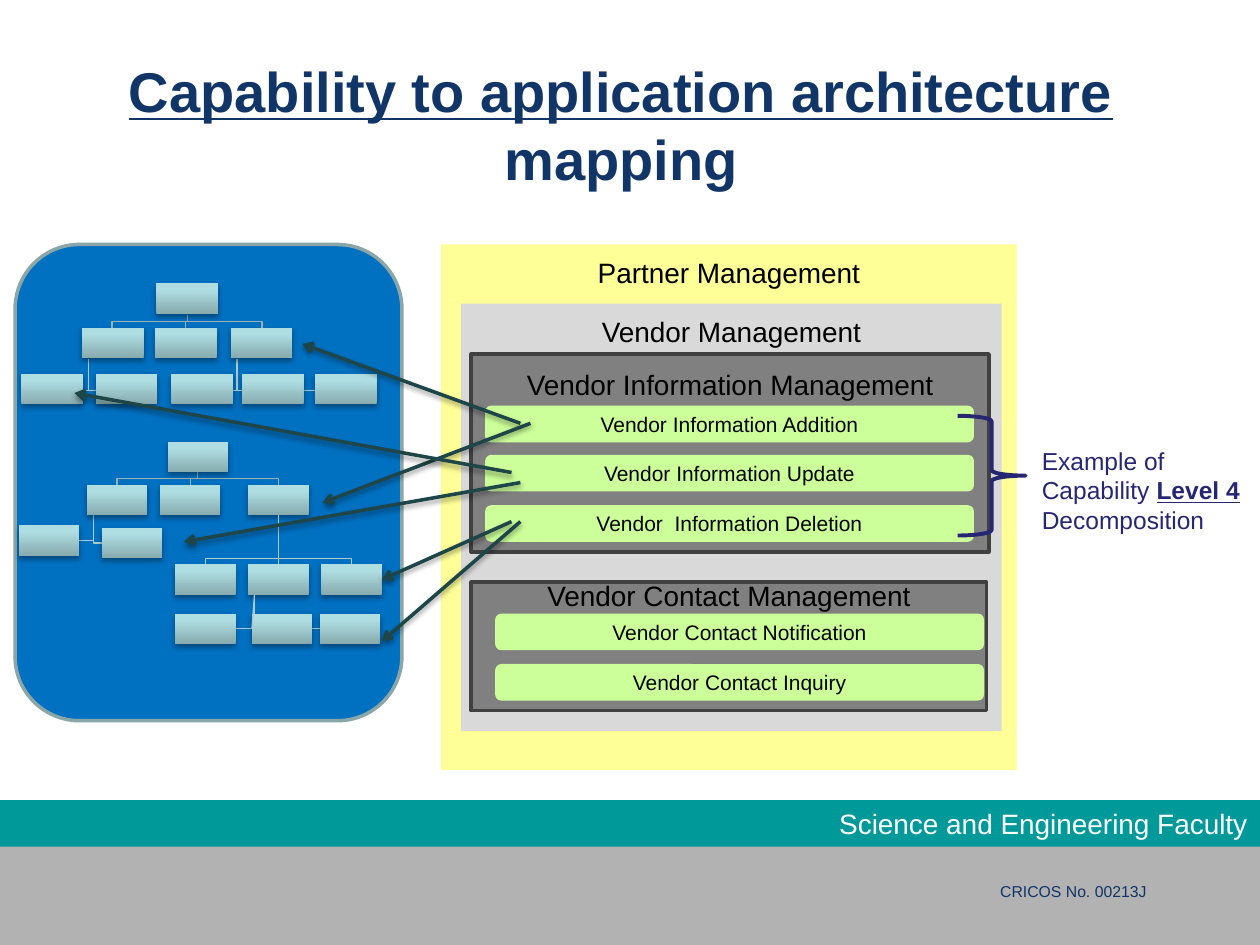
from typing import NamedTuple

from lxml.etree import SubElement
from pptx import Presentation
from pptx.dml.color import RGBColor
from pptx.enum.shapes import MSO_CONNECTOR, MSO_SHAPE
from pptx.enum.text import MSO_ANCHOR, PP_ALIGN
from pptx.oxml.ns import qn
from pptx.util import Pt

PX = 9144  # EMU in one px, 100 px to the inch

WHITE = RGBColor(0xFF, 0xFF, 0xFF)
BLACK = RGBColor(0, 0, 0)
NAVY = RGBColor(0x10, 0x35, 0x66)
INDIGO = RGBColor(0x26, 0x26, 0x73)
TEAL = RGBColor(0x00, 0x99, 0x99)
SILVER = RGBColor(0xB2, 0xB2, 0xB2)
YELLOW = RGBColor(0xFE, 0xFF, 0x97)
PALE = RGBColor(0xD9, 0xD9, 0xD9)
GREY = RGBColor(0x80, 0x80, 0x80)
DARK = RGBColor(0x40, 0x40, 0x40)
LIME = RGBColor(0xCC, 0xFF, 0x99)
BLUE = RGBColor(0x00, 0x70, 0xC0)
RIM = RGBColor(0x8A, 0xA6, 0xA8)
LOW = RGBColor(0x87, 0xAB, 0xAE)
HIGH = RGBColor(0xAF, 0xDE, 0xE2)
LINK = RGBColor(0xAA, 0xCB, 0xCE)
STEM = RGBColor(0x96, 0xB3, 0xB6)
ARROW = RGBColor(0x1E, 0x46, 0x49)

RECT, ROUND = MSO_SHAPE.RECTANGLE, MSO_SHAPE.ROUNDED_RECTANGLE
LEFT, MID, RIGHT = PP_ALIGN.LEFT, PP_ALIGN.CENTER, PP_ALIGN.RIGHT
TOP, CENTER = MSO_ANCHOR.TOP, MSO_ANCHOR.MIDDLE


class Area(NamedTuple):
    x: int
    y: int
    w: int
    h: int


class Run(NamedTuple):
    text: str
    form: dict = {}


class Panel(NamedTuple):
    text: str
    area: Area
    fill: RGBColor
    edge: RGBColor | None
    inset: int


class Group(NamedTuple):
    x: int
    pills: dict[int, str]


class Tree(NamedTuple):
    width: int
    rows: dict[int, list[int]]  # top of a row: left sides of its boxes
    stems: list[list[tuple[int, int]]]
    links: list[list[tuple[int, int]]]


PANELS = [
    Panel("Partner Management", Area(350, 194, 457, 417), YELLOW, None, 9),
    Panel("Vendor Management", Area(366, 241, 429, 339), PALE, None, 9),
    Panel("Vendor Information Management", Area(374, 281, 411, 157), GREY, DARK, 11),
    Panel("Vendor Contact Management", Area(374, 462, 409, 102), GREY, DARK, -3),
]
GROUPS = [
    Group(385, {322: "Vendor Information Addition",
                361: "Vendor Information Update",
                401: "Vendor  Information Deletion"}),
    Group(393, {487: "Vendor Contact Notification",
                527: "Vendor Contact Inquiry"}),
]
UPPER = Tree(
    49,
    {225: [124], 260: [65, 123, 183], 297: [17, 76, 136, 192, 250]},
    [[(149, 250), (149, 255), (x, 255), (x, 260)] for x in (89, 147, 208)],
    [[(x, 285), (x, 310), (end, 310)]
     for x, end in ((188, 250), (188, 192), (188, 185), (70, 66), (70, 76))],
)
LOWER = Tree(
    48,
    {351: [133], 385: [69, 127, 197], 417: [15], 419: [81],
     448: [139, 197, 255], 487: [139, 200, 254]},
    [[(157, 375), (157, 380), (x, 380), (x, 385)] for x in (93, 151, 221)],
    [[(221, 409), (221, 443), (x, 443), (x, 448)] for x in (163, 279)]
    + [[(202, 471), (202, 499), (x, 499)] for x in (187, 254)]
    + [[(74, 409), (74, y), (x, y)] for x, y in ((62, 429), (81, 431))],
)
ARROWS = [
    (413, 336, 240, 273), (421, 336, 256, 399), (406, 375, 59, 312),
    (413, 383, 146, 430), (413, 414, 303, 509),
]


def emu(*vals: int) -> list[int]:
    return [v * PX for v in vals]


def write(shape, runs: list[Run], form: dict, align=LEFT, anchor=TOP,
          wrap=True, inset=5) -> None:
    frame = shape.text_frame
    layout = {"word_wrap": wrap, "vertical_anchor": anchor,
              "margin_top": inset * PX, "margin_bottom": 5 * PX}
    for key, val in layout.items():
        setattr(frame, key, val)
    para = frame.paragraphs[0]
    para.alignment = align
    for item in runs:
        run = para.add_run()
        run.text = item.text
        look = {"name": "Arial", **form, **item.form}
        run.font.color.rgb = look.pop("ink")
        for key, val in look.items():
            setattr(run.font, key, val)


def label(slide, area: Area, runs: list[Run], form: dict, **rest) -> None:
    write(slide.shapes.add_textbox(*emu(*area)), runs, form, **rest)


def draw(slide, kind, area: Area, fill=None, edge=None, width=2.0):
    shape = slide.shapes.add_shape(kind, *emu(*area))
    shape.shadow.inherit = False
    paint(shape, fill, edge, width)
    return shape


def paint(shape, fill, edge, width: float) -> None:
    if fill is None:
        shape.fill.background()
    else:
        shape.fill.solid()
        shape.fill.fore_color.rgb = fill
    if edge is None:
        shape.line.fill.background()
    else:
        shape.line.color.rgb = edge
        shape.line.width = Pt(width)


def shade(effects, alpha: int, dist: float) -> None:
    node = SubElement(effects, qn("a:outerShdw"), blurRad=str(Pt(3.1)),
                      dist=str(Pt(dist)), dir="5400000", rotWithShape="0")
    ink = SubElement(node, qn("a:srgbClr"), val="000000")
    SubElement(ink, qn("a:alpha"), val=str(alpha * 1000))


def join(slide, ends: tuple, ink: RGBColor, width: float):
    line = slide.shapes.add_connector(MSO_CONNECTOR.STRAIGHT, *emu(*ends))
    line.line.color.rgb = ink
    line.line.width = Pt(width)
    return line, SubElement(line._element.spPr, qn("a:effectLst"))


def point(slide, ends: tuple):
    line, effects = join(slide, ends, ARROW, 2)
    SubElement(line.line._get_or_add_ln(), qn("a:tailEnd"), type="arrow")
    shade(effects, 38, 1.6)
    return line


def trace(slide, dots: list[tuple[int, int]], ink: RGBColor) -> None:
    path = slide.shapes.build_freeform(*dots[0], scale=PX)
    path.add_line_segments(dots[1:], close=False)
    shape = path.convert_to_shape()
    shape.shadow.inherit = False
    paint(shape, None, ink, 0.75)


def plant(slide, tree: Tree) -> dict:
    for paths, ink in ((tree.links, LINK), (tree.stems, STEM)):
        for dots in paths:
            trace(slide, dots, ink)
    boxes = {}
    for y, row in tree.rows.items():
        for x in row:
            box = draw(slide, RECT, Area(x, y, tree.width, 24))
            box.fill.gradient()
            box.fill.gradient_angle = 90
            for stop, spot, ink in zip(box.fill.gradient_stops, (0, 0.8), (LOW, HIGH)):
                stop.position = spot
                stop.color.rgb = ink
            shade(box._element.spPr.find(qn("a:effectLst")), 35, 1.8)
            boxes[x, y] = box
    return boxes


def main() -> None:
    deck = Presentation()
    deck.slide_width, deck.slide_height = emu(1000, 750)
    slide = deck.slides.add_slide(deck.slide_layouts[6])

    # Footer
    draw(slide, RECT, Area(0, 659, 1000, 91), SILVER)
    label(slide, Area(784, 695, 136, 25), [Run("CRICOS No. 00213J")],
          {"size": Pt(9), "ink": NAVY}, wrap=False)
    band = draw(slide, RECT, Area(0, 635, 1000, 37), TEAL)
    write(band, [Run("Science and Engineering Faculty")],
          {"size": Pt(16), "ink": WHITE}, RIGHT, CENTER)

    # Title
    label(slide, Area(43, 36, 900, 125),
          [Run("Capability to application architecture ", {"underline": True}),
           Run("mapping")],
          {"size": Pt(32), "bold": True, "ink": NAVY}, align=MID, anchor=CENTER)

    # Capability panels and their pills
    for panel in PANELS:
        shape = draw(slide, RECT, panel.area, panel.fill, panel.edge)
        write(shape, [Run(panel.text)], {"size": Pt(16), "ink": BLACK},
              MID, inset=panel.inset)
    for group in GROUPS:
        for y, text in group.pills.items():
            pill = draw(slide, ROUND, Area(group.x, y, 388, 29), LIME)
            write(pill, [Run(text)], {"size": Pt(12), "ink": BLACK}, MID, CENTER)

    # Brace and remark
    brace = draw(slide, MSO_SHAPE.RIGHT_BRACE, Area(760, 330, 54, 95), None, INDIGO, 2.25)
    brace.adjustments[0], brace.adjustments[1] = 0.08, 0.5
    label(slide, Area(817, 349, 183, 81),
          [Run("Example of Capability "),
           Run("Level 4", {"bold": True, "underline": True}),
           Run(" Decomposition")],
          {"size": Pt(14), "ink": INDIGO})

    # Application trees
    draw(slide, ROUND, Area(12, 194, 307, 378), BLUE, RIM)
    plant(slide, UPPER)
    boxes = plant(slide, LOWER)
    trunk, _ = join(slide, (221, 409, 221, 448), LINK, 0.75)
    trunk.begin_connect(boxes[197, 385], 2)
    trunk.end_connect(boxes[197, 448], 0)
    twig, _ = join(slide, (202, 472, 200, 499), LINK, 0.75)
    twig.end_connect(boxes[200, 487], 1)

    # Mapping arrows
    for ends in ARROWS:
        point(slide, ends)
    last = point(slide, (406, 414, 303, 460))
    last.end_connect(boxes[255, 448], 3)

    deck.save("out.pptx")


if __name__ == "__main__":
    main()
